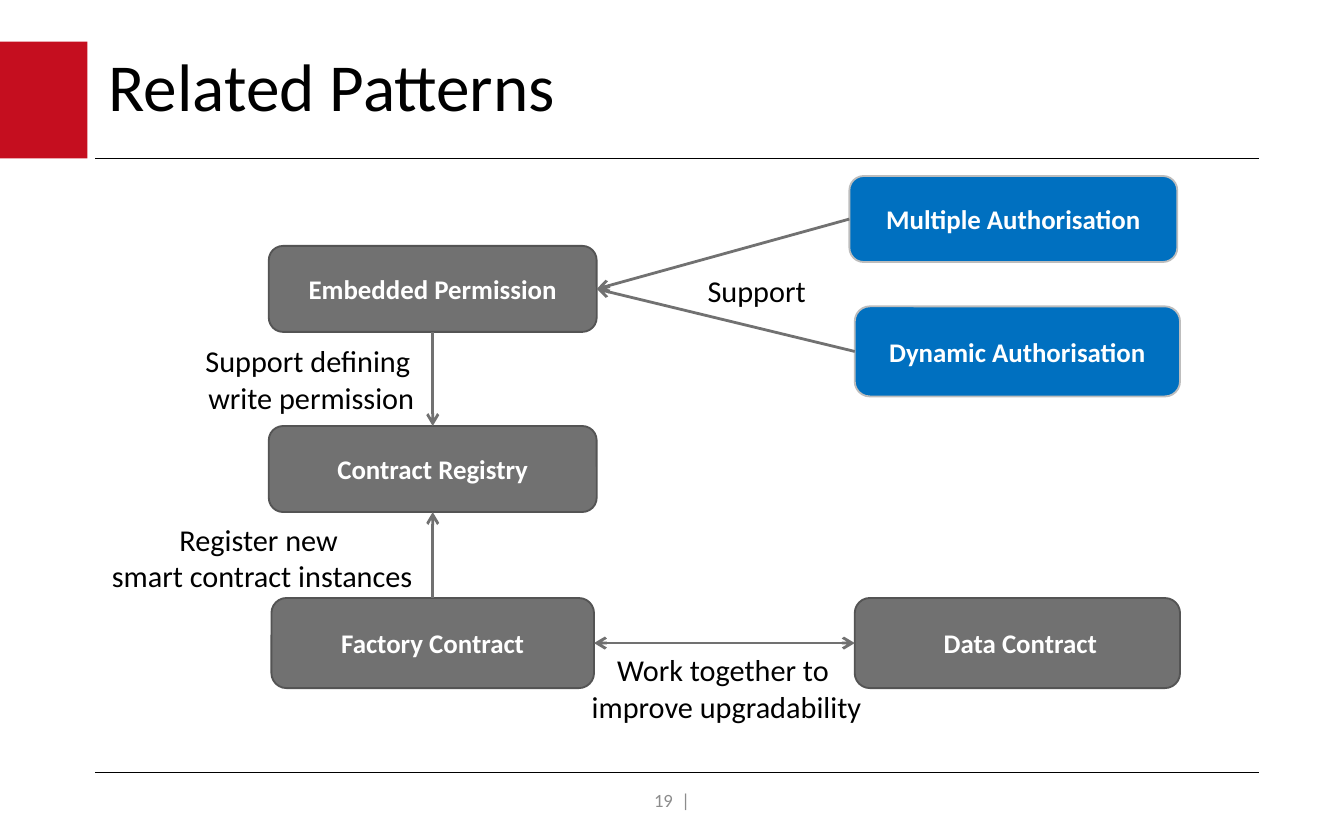
"""Build the Related Patterns slide: a diagram of linked contract patterns."""
from lxml.etree import SubElement
from pptx import Presentation
from pptx.dml.color import RGBColor
from pptx.enum.shapes import MSO_CONNECTOR as Connector, MSO_SHAPE as Shape
from pptx.enum.text import MSO_ANCHOR as Anchor, PP_ALIGN as Align
from pptx.oxml.ns import qn
from pptx.util import Inches, Pt

BLACK = RGBColor(0x00, 0x00, 0x00)
WHITE = RGBColor(0xFF, 0xFF, 0xFF)
RED = RGBColor(0xC5, 0x0E, 0x1F)
GREY = RGBColor(0x71, 0x71, 0x71)
DARK_GREY = RGBColor(0x54, 0x54, 0x54)
LIGHT_GREY = RGBColor(0xBD, 0xBD, 0xBD)
FOOTER_GREY = RGBColor(0x8C, 0x8C, 0x8C)
BLUE = RGBColor(0x00, 0x70, 0xC0)

TOP, LEFT, BOTTOM, RIGHT = range(4)
WIDE = (2.44, 0.64)
TALL = (2.42, 0.67)

PATTERNS = [
    ("Contract Registry", (2, 3.17), WIDE, GREY, DARK_GREY),
    (" Data Contract", (6.36, 4.45), TALL, GREY, DARK_GREY),
    ("Factory Contract", (2.02, 4.45), (2.4, 0.67), GREY, DARK_GREY),
    ("Embedded Permission", (2, 1.83), WIDE, GREY, DARK_GREY),
    ("Multiple Authorisation", (6.32, 1.31), WIDE, BLUE, LIGHT_GREY),
    ("Dynamic Authorisation", (6.36, 2.28), TALL, BLUE, LIGHT_GREY),
]
RELATIONS = [
    ("Factory Contract", RIGHT, " Data Contract", LEFT, ("headEnd", "tailEnd")),
    ("Factory Contract", TOP, "Contract Registry", BOTTOM, ("tailEnd",)),
    ("Embedded Permission", BOTTOM, "Contract Registry", TOP, ("tailEnd",)),
    ("Multiple Authorisation", LEFT, "Embedded Permission", RIGHT, ("tailEnd",)),
    ("Dynamic Authorisation", LEFT, "Embedded Permission", RIGHT, ("tailEnd",)),
]
LABELS = [
    ("Work together to \nimprove upgradability", (4.29, 4.8, 2.23, 0.65)),
    ("Register new \nsmart contract instances", (0.65, 3.83, 2.6, 0.65)),
    ("Support defining \nwrite permission", (1.42, 2.5, 1.79, 0.65)),
    ("Support", (5.16, 1.98, 0.94, 0.37)),
]


def write_text(shape, text, size=16.2, color=BLACK, bold=False, align=Align.CENTER,
               anchor=Anchor.MIDDLE, wrap=True, spacing=None):
    """Fill a shape with one formatted paragraph per line of text."""
    frame = shape.text_frame
    frame.word_wrap = wrap
    frame.vertical_anchor = anchor
    frame.text = text
    for paragraph in frame.paragraphs:
        paragraph.alignment = align
        paragraph.line_spacing = spacing
        font = paragraph.runs[0].font
        font.name = "Calibri"
        font.size = Pt(size)
        font.bold = bold
        font.color.rgb = color


def add_text(slide, text, box, **text_format):
    """Add a text box with formatted text."""
    write_text(slide.shapes.add_textbox(*map(Inches, box)), text, **text_format)


def add_block(slide, kind, box, fill, outline=None):
    """Add a filled preset shape, outlined if a colour is given."""
    shape = slide.shapes.add_shape(kind, *map(Inches, box))
    shape.shadow.inherit = False
    shape.fill.solid()
    shape.fill.fore_color.rgb = fill
    if outline is None:
        shape.line.fill.background()
    else:
        shape.line.color.rgb = outline
        shape.line.width = Pt(1)
    return shape


def add_line(slide, ends, color, width):
    """Add a straight connector without a shadow."""
    line = slide.shapes.add_connector(Connector.STRAIGHT, *map(Inches, ends))
    line.line.color.rgb = color
    line.line.width = Pt(width)
    SubElement(line._element.spPr, qn("a:effectLst"))
    return line


def add_relation(slide, source, source_side, target, target_side, arrowheads):
    """Join two pattern boxes with an arrow."""
    arrow = add_line(slide, (0, 0, 0, 0), GREY, 1.5)
    arrow.begin_connect(source, source_side)
    arrow.end_connect(target, target_side)
    for end in arrowheads:
        SubElement(arrow.line._get_or_add_ln(), qn(f"a:{end}"), type="arrow")


def add_frame(slide):
    """Add the title, accent block, rules and page number."""
    add_block(slide, Shape.RECTANGLE, (0, 0.31, 0.65, 0.87), RED)
    for y in (1.18, 5.75):
        add_line(slide, (0.71, y, 9.37, y), BLACK, 0.75)
    add_text(slide, "Related Patterns", (0.71, 0.31, 8.66, 0.71), size=36,
             align=Align.LEFT, spacing=0.9)
    add_text(slide, "19  |", (3.31, 5.79, 3.38, 0.33), size=10, color=FOOTER_GREY)


def main():
    """Build and save the slide."""
    presentation = Presentation()
    presentation.slide_width = Inches(10)
    presentation.slide_height = Inches(6.25)
    slide = presentation.slides.add_slide(presentation.slide_layouts[6])
    add_frame(slide)
    boxes = {}
    for name, position, size, fill, outline in PATTERNS:
        boxes[name] = add_block(slide, Shape.ROUNDED_RECTANGLE, position + size, fill, outline)
        write_text(boxes[name], name, size=14.4, color=WHITE, bold=True)
    for source, source_side, target, target_side, arrowheads in RELATIONS:
        add_relation(slide, boxes[source], source_side, boxes[target], target_side, arrowheads)
    for text, box in LABELS:
        add_text(slide, text, box, anchor=Anchor.TOP, wrap=False)
    presentation.save("out.pptx")


if __name__ == "__main__":
    main()
